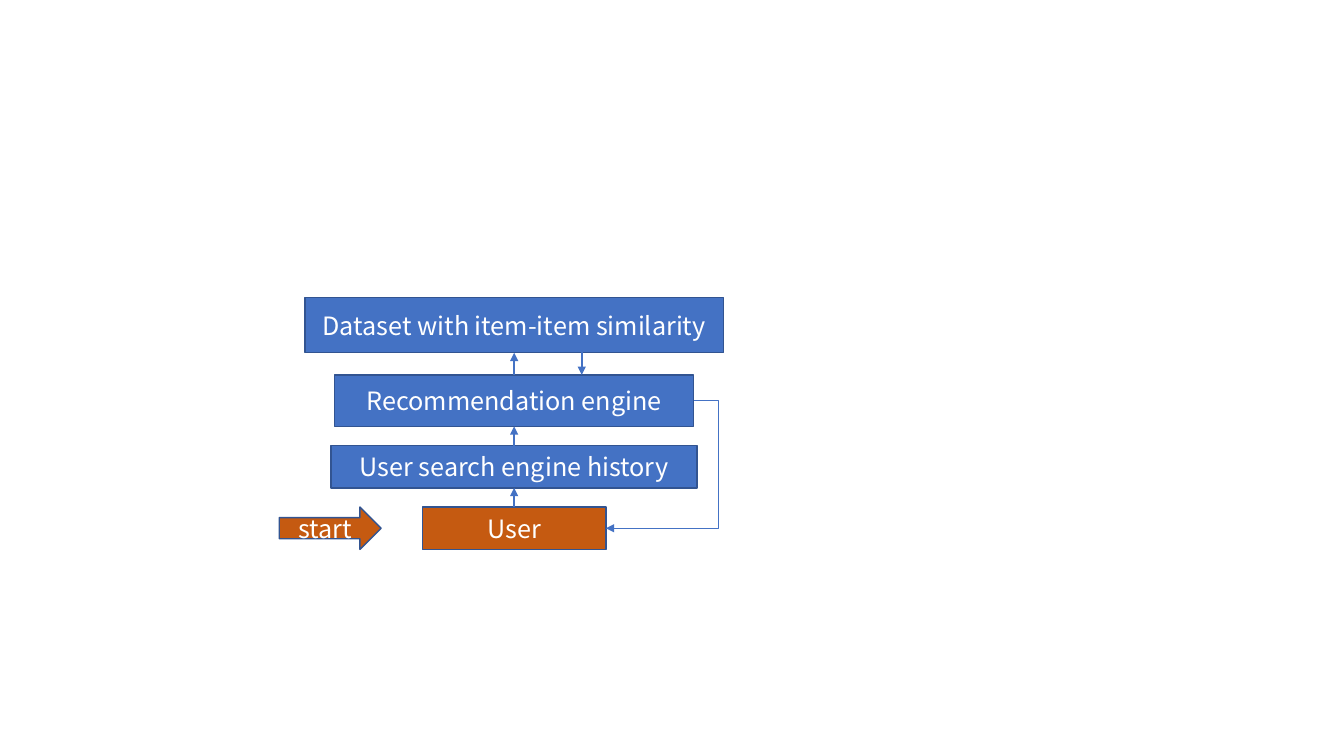
import pptx
import pptx.dml.color
import pptx.enum.shapes
import pptx.enum.text
import pptx.oxml
import pptx.oxml.ns
import pptx.util
from pptx.util import Inches

BLUE, ORANGE, OUTLINE, WHITE = "4472C4", "C55A11", "325491", "FFFFFF"
FONT = "Noto Sans CJK SC"
CENTRE = 5.1

# Bottom to top: text, top, width, height, fill
STAGES = [
    ("User", 5.03, 1.82, 0.42, ORANGE),
    ("User search engine history", 4.42, 3.63, 0.42, BLUE),
    ("Recommendation engine", 3.72, 3.56, 0.51, BLUE),
    ("Dataset with item-item similarity", 2.95, 4.15, 0.55, BLUE),
]
START = ("start", 2.77, 5.03, 1.01, 0.42)
DATASET_REPLY = (5.77, 3.45, 5.77, 3.72)
FEEDBACK_REACH = 0.25

SHAPE = pptx.enum.shapes.MSO_SHAPE
CONNECTOR = pptx.enum.shapes.MSO_CONNECTOR
TOP, BOTTOM = 0, 2


def rgb(hex_colour):
    return pptx.dml.color.RGBColor.from_string(hex_colour)


def write(frame, text, size=18, colour=WHITE, font=FONT):
    frame.word_wrap = True
    frame.vertical_anchor = pptx.enum.text.MSO_ANCHOR.MIDDLE
    paragraph = frame.paragraphs[0]
    paragraph.alignment = pptx.enum.text.PP_ALIGN.CENTER
    run = paragraph.add_run()
    run.text = text
    run.font.size = pptx.util.Pt(size)
    run.font.name = font
    run.font.color.rgb = rgb(colour)


def add_block(slide, preset, text, left, top, width, height, fill):
    block = slide.shapes.add_shape(preset, *map(Inches, (left, top, width, height)))
    block.shadow.inherit = False
    block.fill.solid()
    block.fill.fore_color.rgb = rgb(fill)
    block.line.color.rgb = rgb(OUTLINE)
    block.line.width = pptx.util.Pt(1)
    write(block.text_frame, text)
    return block


def add_arrow(slide, kind, x1, y1, x2, y2, weight=1.5):
    arrow = slide.shapes.add_connector(kind, *map(Inches, (x1, y1, x2, y2)))
    arrow.line.color.rgb = rgb(BLUE)
    arrow.line.width = pptx.util.Pt(weight)
    tail = pptx.oxml.ns.qn("a:tailEnd")
    arrow.line._get_or_add_ln().append(
        pptx.oxml.parse_xml(f'<a:tailEnd {pptx.oxml.ns.nsdecls("a")} type="triangle"/>'))
    arrow._element.spPr.append(
        pptx.oxml.parse_xml(f'<a:effectLst {pptx.oxml.ns.nsdecls("a")}/>'))
    return arrow


def add_feedback(slide, source, target):
    """Route an elbow arrow from the source's right side to the target's."""
    (_, top1, width1, height1, _), (_, top2, width2, height2, _) = source, target
    x1, x2 = CENTRE + width1 / 2, CENTRE + width2 / 2
    feedback = add_arrow(slide, CONNECTOR.ELBOW, x1, top1 + height1 / 2,
                         x2, top2 + height2 / 2, weight=0.5)
    bend = round(-FEEDBACK_REACH / (x1 - x2) * 100000)
    guides = feedback._element.spPr.prstGeom.get_or_add_avLst()
    guides.append(pptx.oxml.parse_xml(
        f'<a:gd {pptx.oxml.ns.nsdecls("a")} name="adj1" fmla="val {bend}"/>'))


def main():
    deck = pptx.Presentation()
    deck.slide_width, deck.slide_height = Inches(13.33), Inches(7.5)
    slide = deck.slides.add_slide(deck.slide_layouts[6])

    blocks = [
        add_block(slide, SHAPE.RECTANGLE, text, CENTRE - width / 2, top, width, height, fill)
        for text, top, width, height, fill in STAGES
    ]
    for lower, upper in zip(blocks, blocks[1:]):
        step = add_arrow(slide, CONNECTOR.STRAIGHT, CENTRE, 0, CENTRE, 0)
        step.begin_connect(lower, TOP)
        step.end_connect(upper, BOTTOM)
    add_arrow(slide, CONNECTOR.STRAIGHT, *DATASET_REPLY)
    add_feedback(slide, STAGES[2], STAGES[0])
    add_block(slide, SHAPE.RIGHT_ARROW, *START, ORANGE)

    deck.save("out.pptx")


if __name__ == "__main__":
    main()
